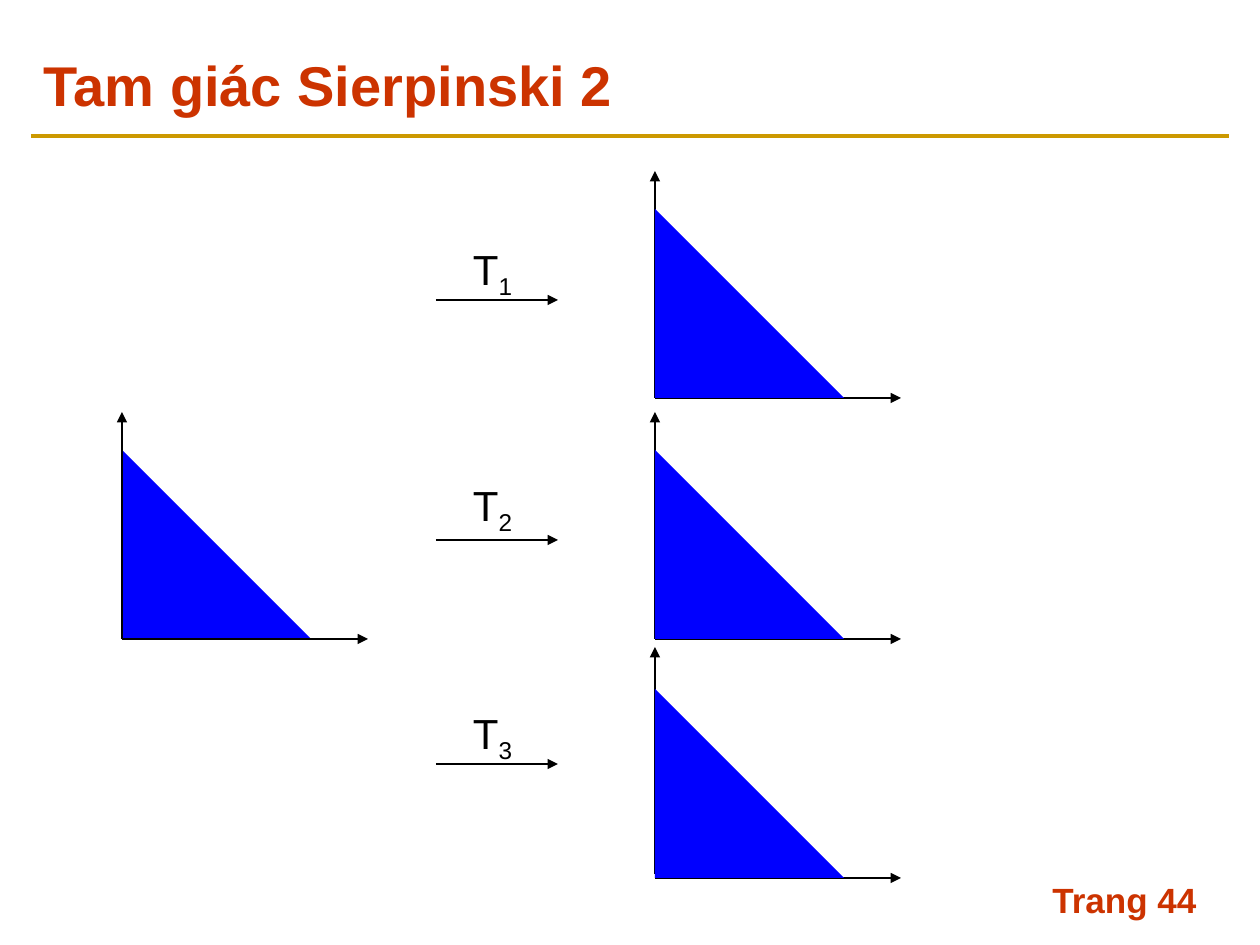
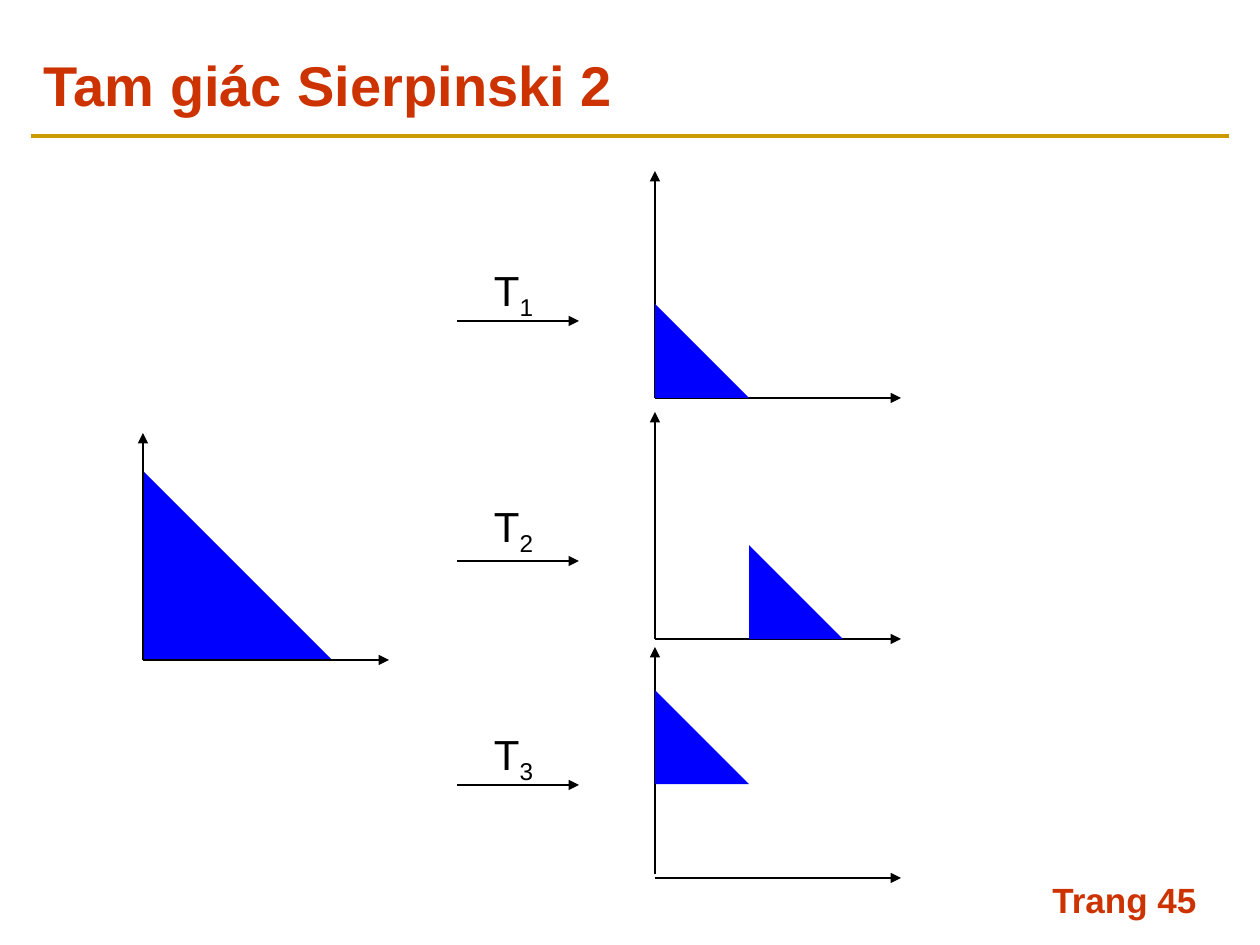
from lxml import etree
from pptx import Presentation
from pptx import util as u
from pptx.dml.color import RGBColor
from pptx.enum import shapes, text
from pptx.oxml.ns import qn

PX = 914400 / 126
FONT = "Arial"
RED, GOLD, BLUE, BLACK = "CC3300", "CC9900", "0000FF", "000000"

SIDE, HALF = 189, 94
OUTPUT_X = 655
# Baseline of each output plot, and the gap under its vertical axis
OUTPUT_ROWS = [(398, 0), (639, 0), (878, 4)]
# Height of each transform arrow, and the gap between it and its label
TRANSFORM_ROWS = [(300, 0), (540, 4), (764, 0)]


def px(length):
    return u.Emu(round(length * PX))


def color(hex_string):
    return RGBColor.from_string(hex_string)


def add_run(paragraph, words, size, hex_string, bold=False):
    run = paragraph.add_run()
    run.text = words
    run.font.name = FONT
    run.font.size = u.Pt(size)
    run.font.bold = bold
    run.font.color.rgb = color(hex_string)
    return run


def add_line(parent, start, end, hex_string=BLACK, width=0.75, arrow=False):
    line = parent.add_connector(shapes.MSO_CONNECTOR.STRAIGHT,
                                *map(px, start + end))
    line.line.color.rgb = color(hex_string)
    line.line.width = u.Pt(width)
    if arrow:
        etree.SubElement(line.line._get_or_add_ln(), qn("a:tailEnd"),
                         type="triangle")
    etree.SubElement(line._element.spPr, qn("a:effectLst"))


def add_frame(slide, title_words, page):
    """Title, rule below it and page number."""
    add_line(slide.shapes, (31, 136), (1229, 136), GOLD, 2.25)

    page_box = slide.shapes.add_textbox(px(1040), px(872), px(189), px(63))
    page_box.text_frame.word_wrap = True
    add_run(page_box.text_frame.paragraphs[0], f"Trang {page}", 20, RED, True)

    title = slide.shapes.title
    title.left, title.top, title.width, title.height = map(px, (31, 42, 1197, 84))
    frame = title.text_frame
    frame.auto_size = text.MSO_AUTO_SIZE.NONE
    frame.vertical_anchor = text.MSO_ANCHOR.MIDDLE
    frame.paragraphs[0].alignment = text.PP_ALIGN.LEFT
    add_run(frame.paragraphs[0], title_words, 32, RED, True)


def add_axes(parent, x, y, gap):
    add_line(parent, (x, y), (x + 246, y), arrow=True)
    add_line(parent, (x, y - gap), (x, y - gap - 227), arrow=True)


def add_triangle(parent, x, y, side):
    """Right triangle with its right angle at (x, y)."""
    outline = parent.build_freeform(x + side, y, scale=PX)
    outline.add_line_segments([(x, y), (x, y - side)], close=True)
    triangle = outline.convert_to_shape()
    triangle.shadow.inherit = False
    triangle.fill.solid()
    triangle.fill.fore_color.rgb = color(BLUE)
    triangle.line.fill.background()


def add_input_plot(slide, x, y):
    plot = slide.shapes.add_group_shape().shapes
    add_triangle(plot, x, y, SIDE)
    add_axes(plot, x, y, 0)


def add_output_plot(slide, x, y, gap, side, right, up):
    plot = slide.shapes.add_group_shape().shapes
    add_axes(plot, x, y, gap)
    add_triangle(plot, x + right, y - up, side)


def add_transform(slide, x, y, label_gap, number):
    """Arrow with T and its index above."""
    add_line(slide.shapes, (x, y), (x + 122, y), arrow=True)
    label = slide.shapes.add_textbox(px(x + 23), px(y - 63 - label_gap),
                                     px(67), px(63))
    label.text_frame.word_wrap = False
    label.text_frame.auto_size = text.MSO_AUTO_SIZE.SHAPE_TO_FIT_TEXT
    paragraph = label.text_frame.paragraphs[0]
    paragraph.alignment = text.PP_ALIGN.CENTER
    add_run(paragraph, "T", 24, BLACK)
    index = add_run(paragraph, str(number), 24, BLACK)
    index.font._element.set("baseline", "-25000")


def add_transform_slide(prs, page, shift, side, moves):
    """Input plot, three transforms and their outputs; shift moves the input."""
    slide = prs.slides.add_slide(prs.slide_layouts[5])
    add_frame(slide, "Tam giác Sierpinski 2", page)
    add_input_plot(slide, 122 + shift, 639 + shift)
    for (y, gap), (right, up) in zip(OUTPUT_ROWS, moves):
        add_output_plot(slide, OUTPUT_X, y, gap, side, right, up)
    for number, (y, label_gap) in enumerate(TRANSFORM_ROWS, 1):
        add_transform(slide, 436 + shift, y + shift, label_gap, number)


def main():
    prs = Presentation()
    prs.slide_width, prs.slide_height = px(1260), px(945)
    add_transform_slide(prs, 44, 0, SIDE, [(0, 0)] * 3)
    add_transform_slide(prs, 45, 21, HALF, [(0, 0), (HALF, 0), (0, HALF)])
    prs.save("out.pptx")


if __name__ == "__main__":
    main()
